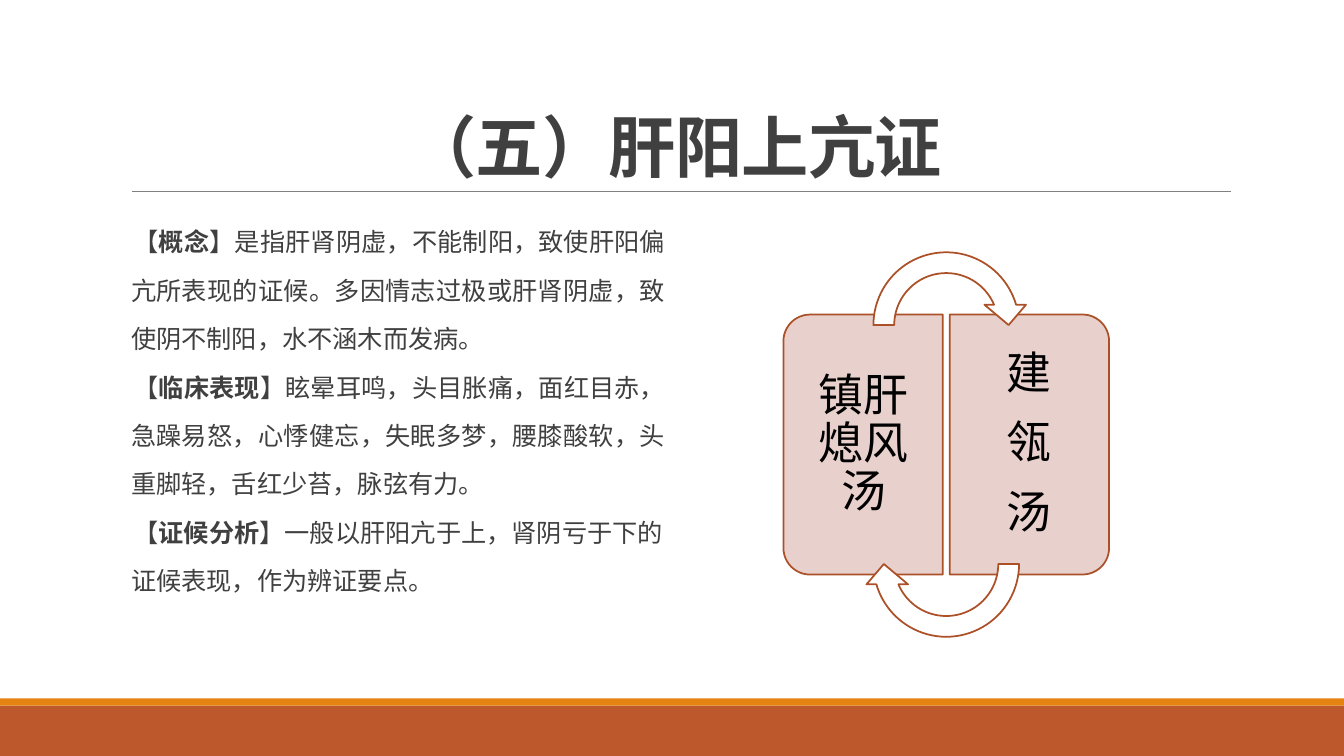
from dataclasses import dataclass

from lxml import etree
from pptx import Presentation
from pptx.dml.color import RGBColor
from pptx.enum import shapes, text
from pptx.oxml import ns
from pptx.util import Inches, Pt


@dataclass(frozen=True)
class Theme:
    band: str = "BD582C"
    accent: str = "E48312"
    rule: str = "808080"
    ink: str = "404040"
    black: str = "000000"
    white: str = "FFFFFF"
    card: str = "E8D1CD"
    outline: str = "AC5028"
    latin: str = "Calibri"
    cjk: str = "Noto Sans CJK SC"
    title: int = 48
    body: int = 18
    label: int = 32


THEME = Theme()
MSO = shapes.MSO_SHAPE
ALIGN = text.PP_ALIGN
ANCHOR = text.MSO_ANCHOR

SECTIONS = [
    ("概念", "是指肝肾阴虚，不能制阳，致使肝阳偏亢所表现的证候。"
             "多因情志过极或肝肾阴虚，致使阴不制阳，水不涵木而发病。", ALIGN.JUSTIFY),
    ("临床表现", "眩晕耳鸣，头目胀痛，面红目赤，急躁易怒，心悸健忘，失眠多梦，"
                 "腰膝酸软，头重脚轻，舌红少苔，脉弦有力。", ALIGN.JUSTIFY),
    ("证候分析", "一般以肝阳亢于上，肾阴亏于下的证候表现，作为辨证要点。", ALIGN.LEFT),
]


def rgb(color):
    return RGBColor.from_string(color)


def add_shape(s, kind, box, fill, line=None, rotation=0, adjustments=()):
    sp = s.shapes.add_shape(kind, *map(Inches, box))
    sp.shadow.inherit = False
    sp.rotation = rotation
    sp.fill.solid()
    sp.fill.fore_color.rgb = rgb(fill)
    if line:
        sp.line.color.rgb = rgb(line)
        sp.line.width = Pt(1.25)
    else:
        sp.line.fill.background()
    for i, value in enumerate(adjustments):
        sp.adjustments[i] = value


def add_rule(s, x1, x2, y):
    line = s.shapes.add_connector(shapes.MSO_CONNECTOR.STRAIGHT,
                                  Inches(x1), Inches(y), Inches(x2), Inches(y))
    line.line.color.rgb = rgb(THEME.rule)
    line.line.width = Pt(0.5)
    etree.SubElement(line._element.spPr, ns.qn("a:effectLst"))


def add_text_frame(s, box, insets, anchor=ANCHOR.TOP):
    """Add a wrapping text box; insets run left, top, right, bottom."""
    tf = s.shapes.add_textbox(*map(Inches, box)).text_frame
    tf.word_wrap = True
    tf.vertical_anchor = anchor
    tf.margin_left, tf.margin_top, tf.margin_right, tf.margin_bottom = map(Inches, insets)
    return tf


def format_run(r, size, color, font, bold=False):
    r.font.size = Pt(size)
    r.font.bold = bold
    r.font.name = font
    r.font.color.rgb = rgb(color)
    ea = etree.SubElement(r.font._element, ns.qn("a:ea"))
    ea.set("typeface", THEME.cjk)


def add_title(s, title):
    tf = add_text_frame(s, (1.2, 0.31, 11, 1.59), (0.1, 0.05, 0.1, 0.05), ANCHOR.BOTTOM)
    tf.text = title
    p = tf.paragraphs[0]
    p.alignment = ALIGN.CENTER
    p.line_spacing = 0.85
    r = p.runs[0]
    format_run(r, THEME.title, THEME.ink, THEME.latin, bold=True)
    r.font._element.set("spc", "-50")


def set_blank_bullet(p):
    """Give the paragraph a hanging indent behind a blank bullet."""
    pPr = p._p.get_or_add_pPr()
    pPr.set("marL", str(Inches(0.1)))
    pPr.set("indent", str(Inches(-0.1)))
    color = etree.SubElement(pPr, ns.qn("a:buClr"))
    etree.SubElement(color, ns.qn("a:srgbClr")).set("val", THEME.accent)
    etree.SubElement(pPr, ns.qn("a:buChar")).set("char", " ")


def add_sections(s):
    tf = add_text_frame(s, (1.2, 2.02, 5.4, 4.4), (0, 0.05, 0, 0.05))
    for i, (heading, detail, align) in enumerate(SECTIONS):
        p = tf.add_paragraph() if i else tf.paragraphs[0]
        p.alignment = align
        p.line_spacing = 1.6
        set_blank_bullet(p)
        for part, bold in (("【", False), (heading, True), ("】" + detail, False)):
            r = p.add_run()
            r.text = part
            format_run(r, THEME.body, THEME.ink, THEME.latin, bold)


def add_formula(s, lines, card_left, rotation, text_left, insets, anchor, spacing):
    """Add a card turned on its side, with the formula's name over it."""
    add_shape(s, MSO.ROUND_2_SAME_RECTANGLE, (card_left, 3.62, 2.58, 1.58),
              THEME.card, THEME.outline, rotation, (0.167, 0))
    tf = add_text_frame(s, (text_left, 3.2, 1.5, 2.43), insets, anchor)
    tf.text = "\n".join(lines)
    for p in tf.paragraphs:
        p.alignment = ALIGN.CENTER
        p.line_spacing = spacing
        p.space_after = Pt(0.35 * THEME.label)
        format_run(p.runs[0], THEME.label, THEME.black, THEME.cjk)


def add_cycle(s):
    add_formula(s, ["镇肝熄风汤"], 7.27, 270, 7.85,
                (0.13, 0.22, 0.2, 0.22), ANCHOR.MIDDLE, 0.9)
    add_formula(s, "建瓴汤", 8.92, 90, 9.42,
                (0.2, 0.22, 0.13, 0.22), ANCHOR.TOP, 1.0)
    for top, rotation in ((2.4, 0), (4.77, 180)):
        add_shape(s, MSO.CIRCULAR_ARROW, (8.56, top, 1.65, 1.65), THEME.white,
                  THEME.outline, rotation, (0.125, 11.423, 204.577, 108, 0.125))


def main():
    prs = Presentation()
    prs.slide_width, prs.slide_height = Inches(13.33), Inches(7.5)
    s = prs.slides.add_slide(prs.slide_layouts[6])
    add_shape(s, MSO.RECTANGLE, (0, 7, 13.33, 0.5), THEME.band)
    add_shape(s, MSO.RECTANGLE, (0, 6.93, 13.33, 0.07), THEME.accent)
    add_rule(s, 1.31, 12.21, 1.9)
    add_title(s, "（五）肝阳上亢证")
    add_sections(s)
    add_cycle(s)
    prs.save("out.pptx")


if __name__ == "__main__":
    main()
